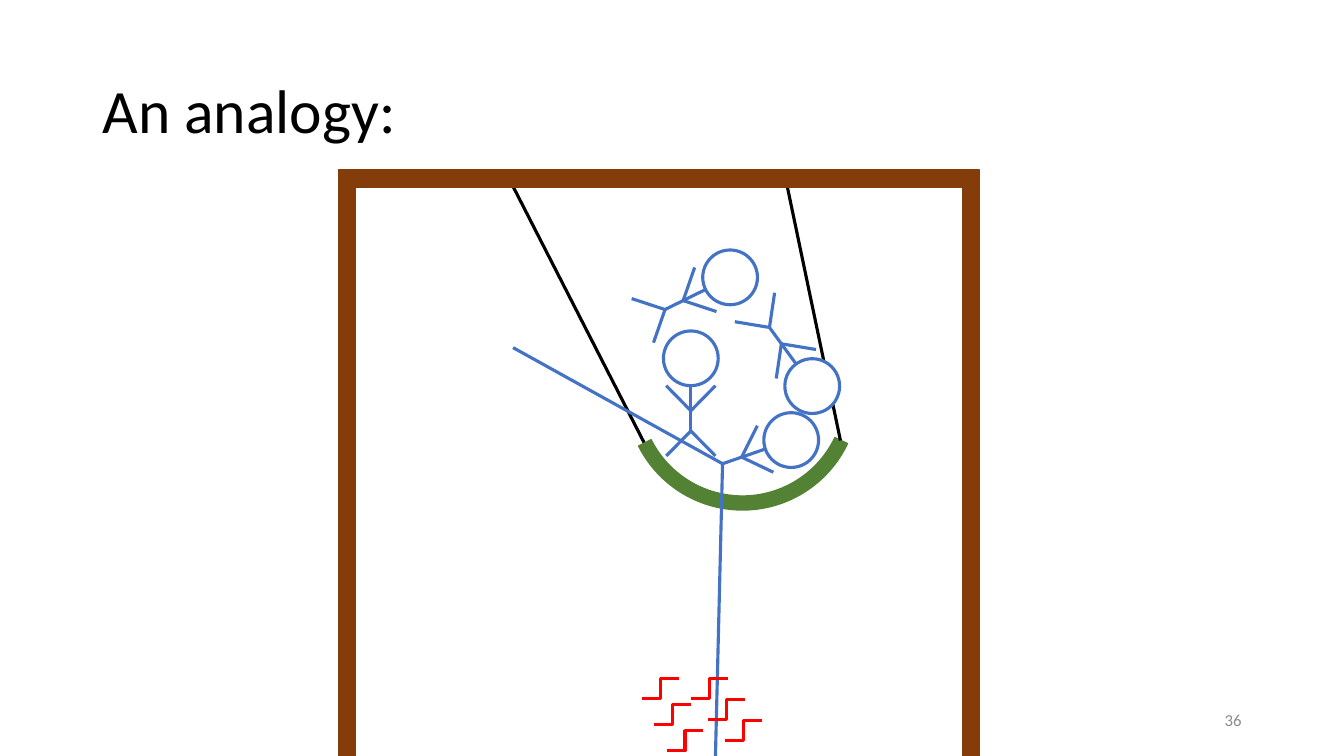
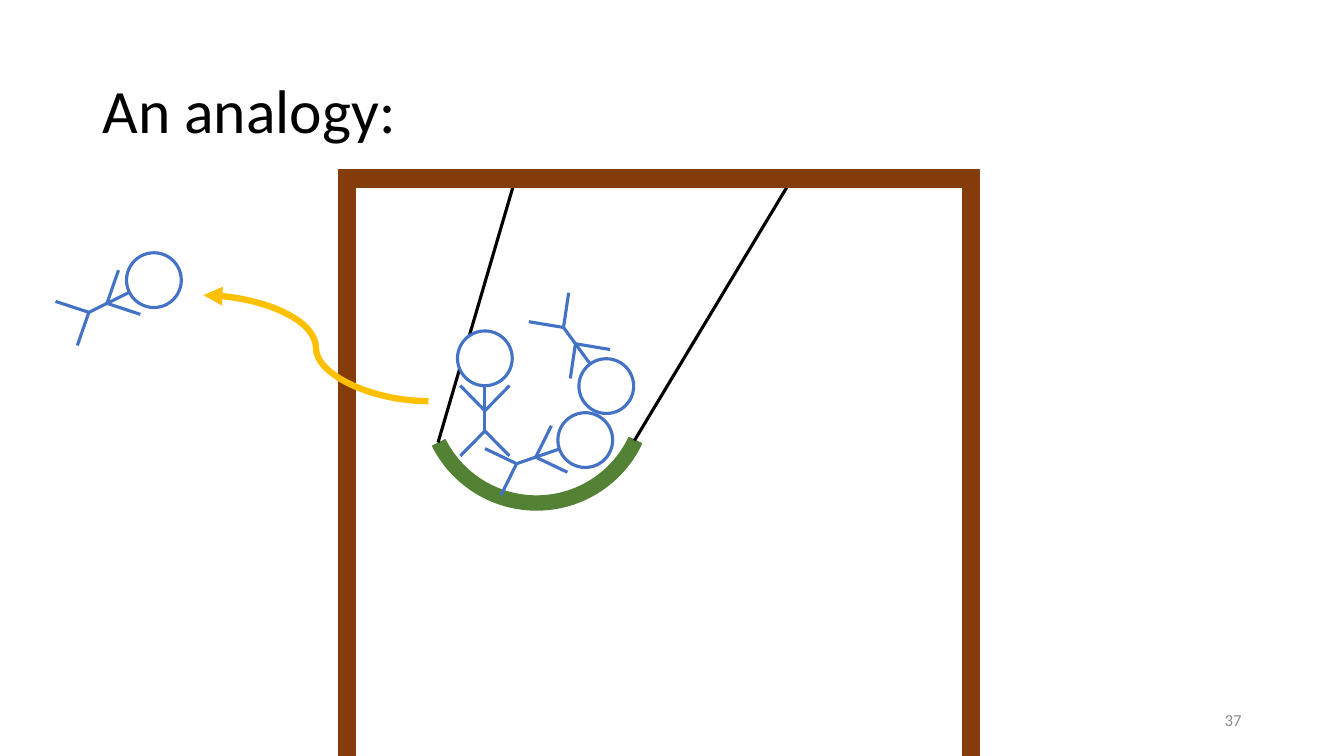
from dataclasses import dataclass
from math import cos, radians, sin

from lxml import etree
from pptx import Presentation
from pptx.dml.color import RGBColor
from pptx.enum import shapes, text
from pptx.oxml import ns
from pptx.util import Cm, Pt

Point = tuple[float, float]

BLACK = RGBColor(0x00, 0x00, 0x00)
WHITE = RGBColor(0xFF, 0xFF, 0xFF)
GRAY = RGBColor(0x8C, 0x8C, 0x8C)
BLUE = RGBColor(0x44, 0x72, 0xC4)
GREEN = RGBColor(0x54, 0x82, 0x35)
BROWN = RGBColor(0x84, 0x3C, 0x0B)
RED = RGBColor(0xFF, 0x00, 0x00)
AMBER = RGBColor(0xFF, 0xC0, 0x00)

FONT = "Calibri"
THIN = 2.25
SWING_SHIFT = 5.19
HEAD_RADIUS = 0.69
SHOULDER = (0, 1.32)
HIP = (0, 1.83)
HANDS = ((-0.62, 0.69), (0.62, 0.69))
FEET = ((-0.62, 2.46), (0.62, 2.46))
HOOKS = ((12.93, 4.7), (19.84, 4.7))
SEAT_ENDS = ((16.23, 11.15), (21.18, 11.1))
SEAT_CENTER = (18.71, 9.92)
SEAT_RADIUS = 2.93


@dataclass(frozen=True)
class Bar:
    left: float
    top: float
    width: float
    height: float


@dataclass(frozen=True)
class Figure:
    x: float
    y: float
    angle: float = 0
    stretched_feet: tuple[Point, ...] = ()

    def place(self, point: Point) -> Point:
        turn = radians(self.angle)
        x, y = point
        return (self.x + x * cos(turn) - y * sin(turn),
                self.y + x * sin(turn) + y * cos(turn))

    def feet(self) -> tuple[Point, ...]:
        return self.stretched_feet or tuple(map(self.place, FEET))


@dataclass(frozen=True)
class JoltColumn:
    x: float
    y: float
    step_x: float
    step_y: float


@dataclass(frozen=True)
class Scene:
    number: int
    shift: float
    figures: tuple[Figure, ...]
    jolts: tuple[JoltColumn, ...] = ()
    has_escape_arrow: bool = False


FRAME = (
    Bar(8.53, 4.7, 0.43, 14.35),
    Bar(24.26, 4.7, 0.43, 14.35),
    Bar(8.53, 4.28, 16.16, 0.43),
)


def swing_figures(shift: float, stretched_feet: tuple[Point, ...] = ()) -> tuple[Figure, ...]:
    return (
        Figure(17.41 - shift, 9.03),
        Figure(19.94 - shift, 11.09, 71, stretched_feet),
        Figure(20.47 - shift, 9.73, 143.9),
    )


SCENES = (
    Scene(36, 0,
          swing_figures(0, ((18.03, 19.05), (12.93, 8.76))) + (Figure(18.4, 6.99, 63.7),),
          (JoltColumn(18.34, 17.09, 0.43, 0.53), JoltColumn(17.11, 17.09, 0.31, 0.66))),
    Scene(37, SWING_SHIFT,
          swing_figures(SWING_SHIFT) + (Figure(3.88, 7.06, 63.7),),
          has_escape_arrow=True),
)


def draw_line(canvas, start: Point, end: Point, color: RGBColor, width: float = THIN,
              kind=shapes.MSO_CONNECTOR.STRAIGHT):
    line = canvas.add_connector(kind, *(Cm(value) for value in start + end))
    line.line.color.rgb = color
    line.line.width = Pt(width)
    etree.SubElement(line._element.spPr, ns.qn("a:effectLst"))
    return line


def draw_shape(canvas, kind, bar: Bar, fill: RGBColor, outline: RGBColor, width: float = 1):
    shape = canvas.add_shape(kind, Cm(bar.left), Cm(bar.top), Cm(bar.width), Cm(bar.height))
    shape.shadow.inherit = False
    shape.fill.solid()
    shape.fill.fore_color.rgb = fill
    shape.line.color.rgb = outline
    shape.line.width = Pt(width)
    return shape


def write(box, words: str, size: float, color: RGBColor, alignment) -> None:
    frame = box.text_frame
    frame.word_wrap = True
    frame.vertical_anchor = text.MSO_ANCHOR.MIDDLE
    para = frame.paragraphs[0]
    para.alignment = alignment
    para.line_spacing = 0.9
    span = para.add_run()
    span.text = words
    span.font.name = FONT
    span.font.size = Pt(size)
    span.font.color.rgb = color


def draw_heading(page, number: int) -> None:
    title = page.shapes.title
    title.left, title.top, title.width, title.height = Cm(2.33), Cm(1.01), Cm(29.21), Cm(3.68)
    write(title, "An analogy:", 44, BLACK, text.PP_ALIGN.LEFT)
    box = page.shapes.add_textbox(Cm(23.92), Cm(17.66), Cm(7.62), Cm(1.01))
    write(box, str(number), 12, GRAY, text.PP_ALIGN.RIGHT)


def draw_swing(canvas, shift: float) -> None:
    x, y = SEAT_CENTER
    size = 2 * SEAT_RADIUS
    seat = draw_shape(canvas, shapes.MSO_SHAPE.BLOCK_ARC,
                      Bar(x - shift - SEAT_RADIUS, y - SEAT_RADIUS, size, size), GREEN, GREEN)
    seat.rotation = 180
    for index, value in enumerate((123.23, 199.96, 0.06)):
        seat.adjustments[index] = value
    for (end_x, end_y), hook in zip(SEAT_ENDS, HOOKS):
        draw_line(canvas, (end_x - shift, end_y), hook, BLACK)
    for bar in FRAME:
        draw_shape(canvas, shapes.MSO_SHAPE.RECTANGLE, bar, BROWN, BROWN)


def draw_figure(canvas, figure: Figure) -> None:
    group = canvas.add_group_shape().shapes
    size = 2 * HEAD_RADIUS
    draw_shape(group, shapes.MSO_SHAPE.OVAL,
               Bar(figure.x - HEAD_RADIUS, figure.y - HEAD_RADIUS, size, size),
               WHITE, BLUE, THIN)
    shoulder, hip = figure.place(SHOULDER), figure.place(HIP)
    draw_line(group, figure.place((0, HEAD_RADIUS)), hip, BLUE)
    for foot in figure.feet():
        draw_line(group, hip, foot, BLUE)
    for hand in HANDS:
        draw_line(group, shoulder, figure.place(hand), BLUE)


def draw_jolts(canvas, column: JoltColumn) -> None:
    for row in reversed(range(3)):
        x, y = column.x + row * column.step_x, column.y + row * column.step_y
        draw_line(canvas, (x, y), (x - 0.93, y + 0.51), RED,
                  kind=shapes.MSO_CONNECTOR.ELBOW)


def draw_escape_arrow(canvas) -> None:
    arrow = draw_line(canvas, (10.8, 10.11), (5.13, 7.44), AMBER, 4.5,
                      shapes.MSO_CONNECTOR.CURVE)
    etree.SubElement(arrow.line._get_or_add_ln(), ns.qn("a:tailEnd"), type="triangle")


def main() -> None:
    deck = Presentation()
    deck.slide_width, deck.slide_height = Cm(33.87), Cm(19.05)
    for scene in SCENES:
        page = deck.slides.add_slide(deck.slide_layouts[5])
        draw_heading(page, scene.number)
        draw_swing(page.shapes, scene.shift)
        for figure in scene.figures:
            draw_figure(page.shapes, figure)
        for column in scene.jolts:
            draw_jolts(page.shapes, column)
        if scene.has_escape_arrow:
            draw_escape_arrow(page.shapes)
    deck.save("out.pptx")


if __name__ == "__main__":
    main()
